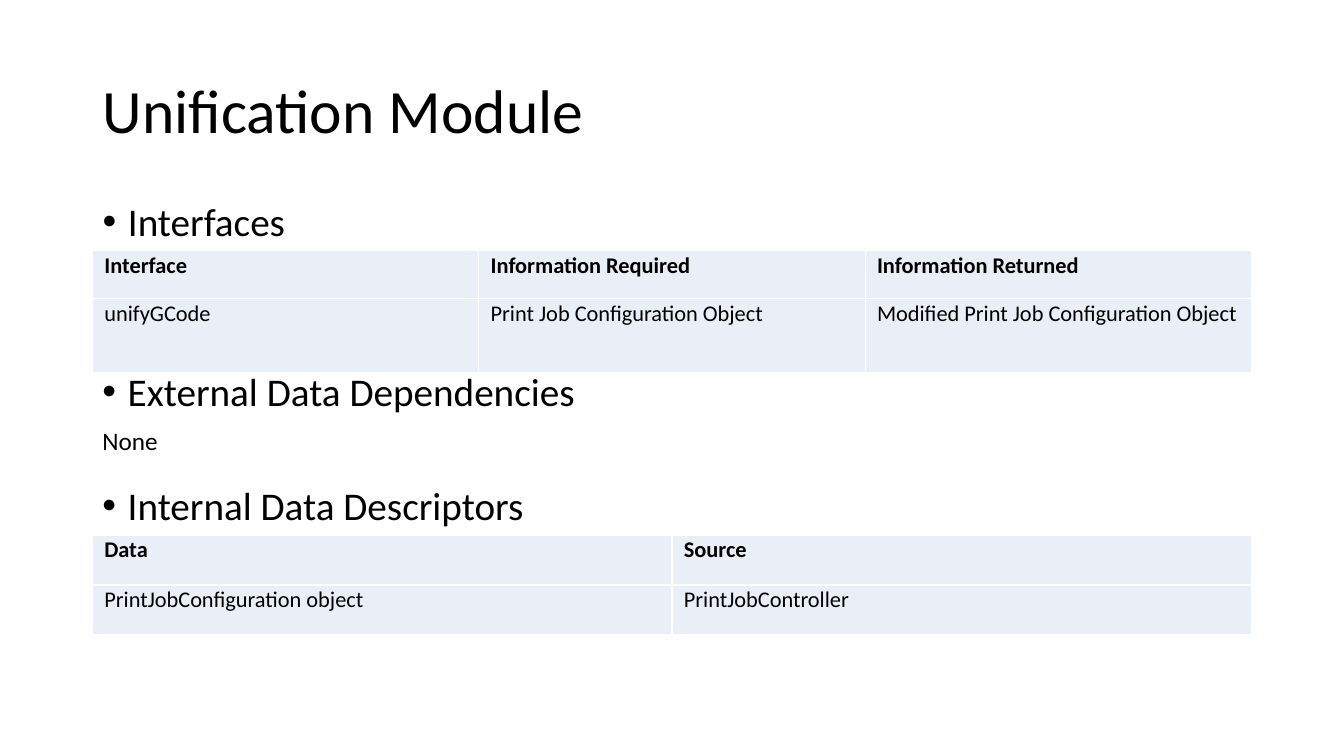
"""Build the Unification Module slide with its headings and tables."""
from dataclasses import dataclass

from lxml import etree
from pptx import Presentation
from pptx.dml.color import RGBColor
from pptx.enum.text import MSO_ANCHOR, MSO_AUTO_SIZE, PP_ALIGN
from pptx.oxml.ns import qn
from pptx.util import Cm, Pt

COLORS = {"text": "000000", "cell": "EAEFF7", "border": "FFFFFF"}
FONT = "Calibri"
LEFT, WIDTH = Cm(2.33), Cm(29.21)
HEADING_HEIGHT = Cm(1.24)


@dataclass(frozen=True)
class Heading:
    text: str
    top: float


@dataclass(frozen=True)
class TableSpec:
    top: float
    row_heights: tuple[float, ...]
    rows: tuple[tuple[str, ...], ...]
    body_align: PP_ALIGN


HEADINGS = (
    Heading("Interfaces", 5.08),
    Heading("External Data Dependencies", 9.37),
    Heading("Internal Data Descriptors", 12.24),
)
TABLES = (
    TableSpec(
        6.32,
        (1.21, 1.85),
        (
            ("Interface", "Information Required", "Information Returned"),
            ("unifyGCode", "Print Job Configuration Object",
             "Modified Print Job Configuration Object"),
        ),
        PP_ALIGN.LEFT,
    ),
    TableSpec(
        13.48,
        (1.26, 1.26),
        (
            ("Data", "Source"),
            ("PrintJobConfiguration object", "PrintJobController"),
        ),
        PP_ALIGN.JUSTIFY,
    ),
)


def place(shape, top: float, width: int, height: int) -> None:
    shape.left, shape.top, shape.width, shape.height = LEFT, Cm(top), width, height


def write(frame, text: str, size: int, bold: bool = False,
          align: PP_ALIGN = PP_ALIGN.LEFT, spacing: float = 1.0,
          before: int = 0, after: int = 0):
    frame.word_wrap = True
    paragraph = frame.paragraphs[0]
    paragraph.alignment = align
    paragraph.line_spacing = spacing
    paragraph.space_before, paragraph.space_after = Pt(before), Pt(after)
    run = paragraph.add_run()
    run.text = text
    run.font.name, run.font.size, run.font.bold = FONT, Pt(size), bold
    run.font.color.rgb = RGBColor.from_string(COLORS["text"])
    return paragraph


def add_bullet(paragraph) -> None:
    properties = paragraph._p.get_or_add_pPr()
    indent = Cm(0.64)
    properties.set("marL", str(indent))
    properties.set("indent", str(-indent))
    etree.SubElement(properties, qn("a:buFont"), typeface="Arial")
    etree.SubElement(properties, qn("a:buChar"), char="•")


def draw_heading(shape, heading: Heading) -> None:
    place(shape, heading.top, WIDTH, HEADING_HEIGHT)
    frame = shape.text_frame
    frame.auto_size = MSO_AUTO_SIZE.NONE
    add_bullet(write(frame, heading.text, 28, spacing=0.8, before=10))


def add_borders(cell) -> None:
    properties = cell._tc.get_or_add_tcPr()
    for index, side in enumerate(("lnL", "lnR", "lnT", "lnB")):
        line = etree.Element(qn(f"a:{side}"), w=str(Pt(1)))
        fill = etree.SubElement(line, qn("a:solidFill"))
        etree.SubElement(fill, qn("a:srgbClr"), val=COLORS["border"])
        properties.insert(index, line)


def draw_table(slide, spec: TableSpec) -> None:
    columns = len(spec.rows[0])
    table = slide.shapes.add_table(
        len(spec.rows), columns, LEFT, Cm(spec.top), WIDTH,
        Cm(sum(spec.row_heights))).table
    table.first_row = table.horz_banding = False
    for column in table.columns:
        column.width = WIDTH // columns
    for r, texts in enumerate(spec.rows):
        table.rows[r].height = Cm(spec.row_heights[r])
        for c, text in enumerate(texts):
            cell = table.cell(r, c)
            cell.margin_left = cell.margin_right = Cm(0.3)
            cell.margin_top = cell.margin_bottom = 0
            cell.fill.solid()
            cell.fill.fore_color.rgb = RGBColor.from_string(COLORS["cell"])
            add_borders(cell)
            align = PP_ALIGN.JUSTIFY if r == 0 else spec.body_align
            write(cell.text_frame, text, 16, r == 0, align, 1.05, after=8)


def main() -> None:
    deck = Presentation()
    deck.slide_width, deck.slide_height = Cm(33.87), Cm(19.05)
    slide = deck.slides.add_slide(deck.slide_layouts[1])

    title = slide.shapes.title
    place(title, 1.01, WIDTH, Cm(3.68))
    title.text_frame.vertical_anchor = MSO_ANCHOR.MIDDLE
    title.text_frame.auto_size = MSO_AUTO_SIZE.NONE
    write(title.text_frame, "Unification Module", 44, spacing=0.9)

    draw_heading(slide.placeholders[1], HEADINGS[0])
    for heading in HEADINGS[1:]:
        box = slide.shapes.add_textbox(LEFT, Cm(heading.top), WIDTH, HEADING_HEIGHT)
        draw_heading(box, heading)

    none_box = slide.shapes.add_textbox(LEFT, Cm(10.6), Cm(5.61), Cm(1.03))
    write(none_box.text_frame, "None", 18)
    none_box.text_frame.auto_size = MSO_AUTO_SIZE.SHAPE_TO_FIT_TEXT

    for spec in TABLES:
        draw_table(slide, spec)
    deck.save("out.pptx")


main()
